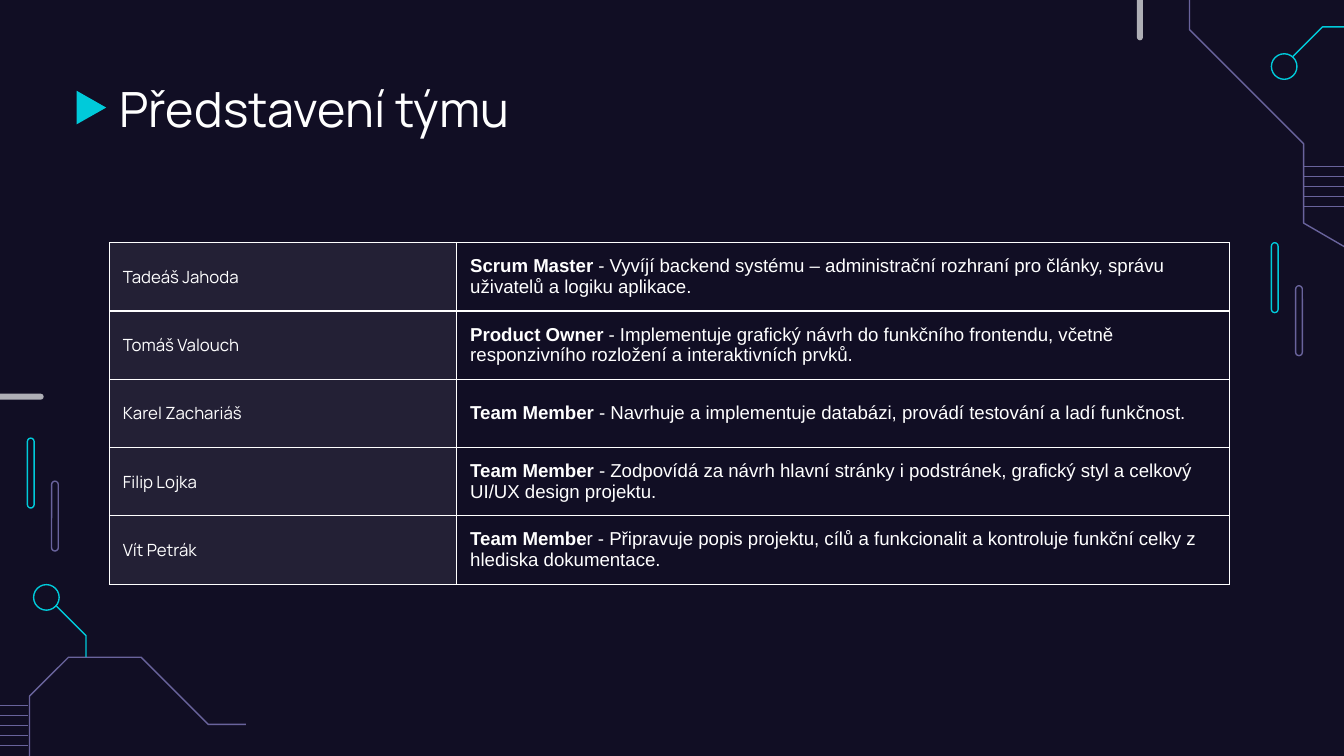
from lxml import etree
from pptx import Presentation
from pptx.dml.color import RGBColor
from pptx.enum.shapes import MSO_CONNECTOR, MSO_SHAPE
from pptx.enum.text import MSO_ANCHOR, MSO_AUTO_SIZE, PP_ALIGN
from pptx.oxml.ns import qn
from pptx.util import Inches, Pt

STRAIGHT = MSO_CONNECTOR.STRAIGHT
PILL, CIRCLE = MSO_SHAPE.ROUNDED_RECTANGLE, MSO_SHAPE.OVAL
MARKER = MSO_SHAPE.FLOWCHART_MERGE
MIDDLE, LEFT, NO_FIT = MSO_ANCHOR.MIDDLE, PP_ALIGN.LEFT, MSO_AUTO_SIZE.NONE

NIGHT = RGBColor(0x11, 0x0E, 0x24)
CYAN = RGBColor(0x00, 0xCA, 0xDA)
VIOLET = RGBColor(0x69, 0x63, 0x9C)
GREY = RGBColor(0xAF, 0xAF, 0xB6)
WHITE = RGBColor(0xFF, 0xFF, 0xFF)

# The slide is a grid of 1000 columns; rows have the same size
WIDTH = Inches(10)
HEIGHT = WIDTH * 9 // 16
CELL = WIDTH // 1000
HAIRLINE = Pt(0.75)
INSET = Inches(0.1)

TEAM = [
    ("Tadeáš Jahoda", "Scrum Master",
     " - Vyvíjí backend systému – administrační rozhraní pro články, "
     "správu uživatelů a logiku aplikace."),
    ("Tomáš Valouch", "Product Owner",
     " - Implementuje grafický návrh do funkčního frontendu, včetně "
     "responzivního rozložení a interaktivních prvků."),
    ("Karel Zachariáš", "Team Member",
     " - Navrhuje a implementuje databázi, provádí testování a ladí funkčnost."),
    ("Filip Lojka", "Team Member",
     " - Zodpovídá za návrh hlavní stránky i podstránek, grafický styl "
     "a celkový UI/UX design projektu."),
    ("Vít Petrák", "Team Membe",
     "r - Připravuje popis projektu, cílů a funkcionalit a kontroluje "
     "funkční celky z hlediska dokumentace."),
]


def cells(*counts):
    return [round(count * CELL) for count in counts]


def outline(shape, color):
    shape.fill.background()
    shape.line.color.rgb = color
    shape.line.width = HAIRLINE
    shape.shadow.inherit = False


def add_solid(slide, kind, box, color, rotation=0):
    shape = slide.shapes.add_shape(kind, *cells(*box))
    shape.fill.solid()
    shape.fill.fore_color.rgb = color
    shape.line.fill.background()
    shape.shadow.inherit = False
    shape.rotation = rotation
    return shape


def add_trace(slide, left, top, points, color):
    start, *rest = [((left + x) * CELL, (top + y) * CELL) for x, y in points]
    builder = slide.shapes.build_freeform(*start, scale=1.0)
    builder.add_line_segments(rest, close=False)
    outline(builder.convert_to_shape(), color)


def add_run(paragraph, text, font, size, bold=False):
    run = paragraph.add_run()
    run.text = text
    run.font.name = font
    run.font.size = Pt(size)
    run.font.bold = bold
    run.font.color.rgb = WHITE


def add_pill_pair(slide, left, top):
    """Two upright outlined pills, the second one lower and to the right."""
    for x, y, color in ((0, 0, CYAN), (18, 32, VIOLET)):
        pill = slide.shapes.add_shape(PILL, *cells(left + x, top + y, 5, 52))
        pill.adjustments[0] = 0.5
        outline(pill, color)


def add_circuit(slide, box, trace, lead, node, bus):
    """Corner ornament; all parts are offsets from the top left of its box."""
    left, top = box
    bus_left, bus_right, bus_top = bus
    for index in range(5):
        y = top + bus_top + 7.45 * index
        wire = slide.shapes.add_connector(
            STRAIGHT, *cells(left + bus_left, y, left + bus_right, y))
        wire.line.color.rgb = VIOLET
        wire.line.width = HAIRLINE
        etree.SubElement(wire._element.spPr, qn("a:effectLst"))
    add_trace(slide, left, top, trace, VIOLET)
    add_trace(slide, left, top, lead, CYAN)
    circle = slide.shapes.add_shape(
        CIRCLE, *cells(left + node[0], top + node[1], 19, 19))
    outline(circle, CYAN)


def add_edge_bars(slide):
    """Grey bars that run in from the top and the left edge."""
    for box in ((846, -18, 4.4, 48), (-15.5, 293, 48, 4.4)):
        bar = add_solid(slide, PILL, box, GREY)
        bar.adjustments[0] = 0.5


def add_title(slide, box, text):
    left, top = box[:2]
    add_solid(slide, MARKER, (left - 23.5, top + 20, 25, 22), CYAN, 270)
    title = slide.shapes.title
    title.left, title.top, title.width, title.height = cells(*box)
    frame = title.text_frame
    frame.auto_size = NO_FIT
    frame.word_wrap = True
    frame.vertical_anchor = MIDDLE
    frame.margin_left = frame.margin_right = INSET
    frame.margin_top = frame.margin_bottom = INSET
    paragraph = frame.paragraphs[0]
    paragraph.alignment = LEFT
    add_run(paragraph, text, "Manrope", 26)


def format_cell(cell):
    cell.vertical_anchor = MIDDLE
    cell.margin_left = cell.margin_right = INSET
    cell.margin_top = cell.margin_bottom = 0
    properties = cell._tc.get_or_add_tcPr()
    for side in ("a:lnL", "a:lnR", "a:lnT", "a:lnB"):
        border = etree.SubElement(properties, qn(side), w=str(HAIRLINE))
        fill = etree.SubElement(border, qn("a:solidFill"))
        etree.SubElement(fill, qn("a:srgbClr"), val=str(WHITE))
    cell.fill.background()


def add_team_table(slide, box, members):
    width, height = box[2:]
    table = slide.shapes.add_table(len(members), 2, *cells(*box)).table
    table.first_row = table.horz_banding = False
    name_width = width * 0.31
    table.columns[0].width, table.columns[1].width = cells(
        name_width, width - name_width)
    for row, (name, role, duties) in zip(table.rows, members):
        row.height = cells(height / len(members))[0]
        name_cell, duty_cell = row.cells
        format_cell(name_cell)
        format_cell(duty_cell)
        # Faint white tint behind the names
        name_cell.fill.solid()
        name_cell.fill.fore_color.rgb = WHITE
        tint = name_cell._tc.tcPr.find(qn("a:solidFill"))[0]
        etree.SubElement(tint, qn("a:alpha"), val="8000")
        add_run(name_cell.text_frame.paragraphs[0], name, "Manrope", 9)
        paragraph = duty_cell.text_frame.paragraphs[0]
        add_run(paragraph, role, "Arial", 10, bold=True)
        add_run(paragraph, duties, "Arial", 10)


def main():
    presentation = Presentation()
    presentation.slide_width, presentation.slide_height = WIDTH, HEIGHT
    slide = presentation.slides.add_slide(presentation.slide_layouts[5])
    slide.background.fill.solid()
    slide.background.fill.fore_color.rgb = NIGHT

    # Ornaments; traces, wires and bars run on past the slide's edge
    add_pill_pair(slide, 946, 180.6)
    add_pill_pair(slide, 20.4, 326)
    add_circuit(slide, (885, 0),
                trace=[(0, -36), (0, 22), (85, 107), (85, 166),
                       (161, 210), (156, 219)],
                lead=[(77, 42), (99, 20), (115, 20)],
                node=(61, 40), bus=(85, 191, 124))
    add_circuit(slide, (0, 435),
                trace=[(183, 104), (155, 104), (105, 54), (51, 54),
                       (22, 83), (22, 149), (-129, 149)],
                lead=[(42, 16), (64, 38), (64, 54)],
                node=(25, 0), bus=(-85, 21, 90))
    add_edge_bars(slide)

    # Content
    add_title(slide, (79, 49, 843, 63), "Představení týmu")
    add_team_table(slide, (81.5, 180.5, 833.6, 254.3), TEAM)
    presentation.save("out.pptx")


if __name__ == "__main__":
    main()
